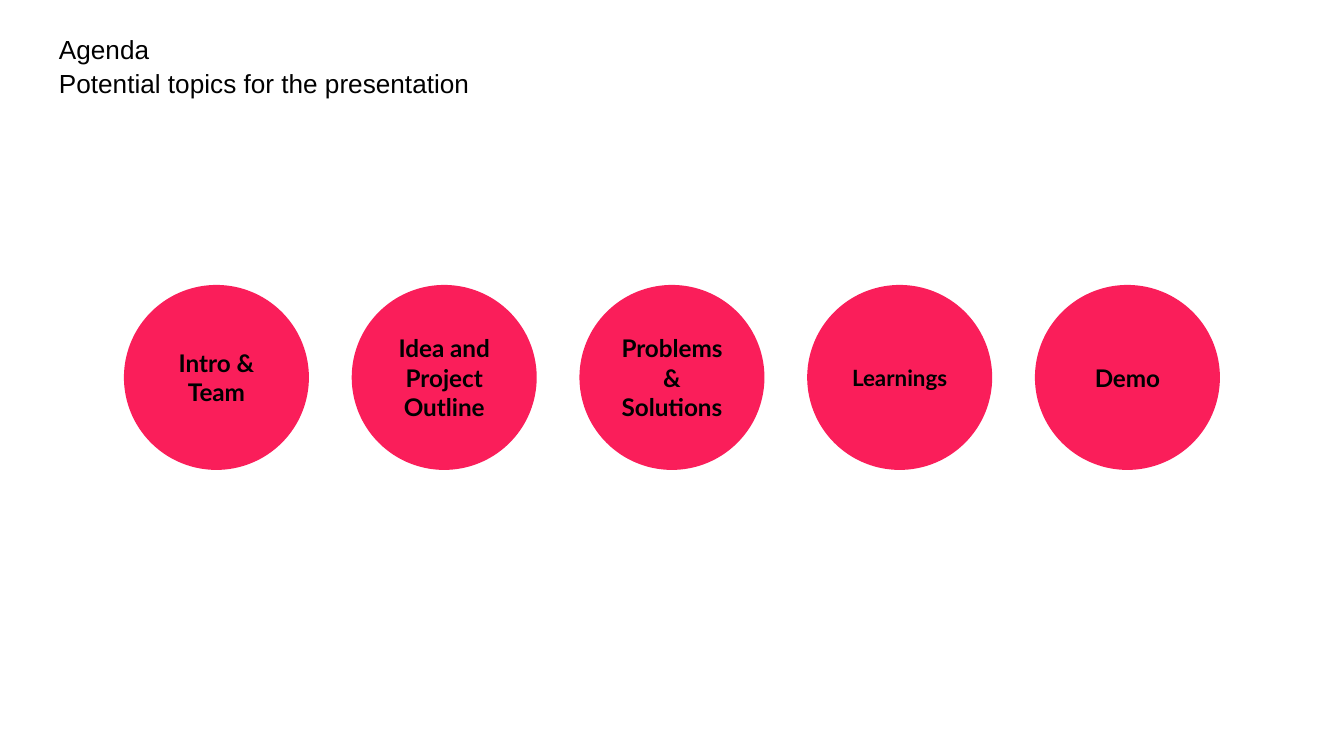
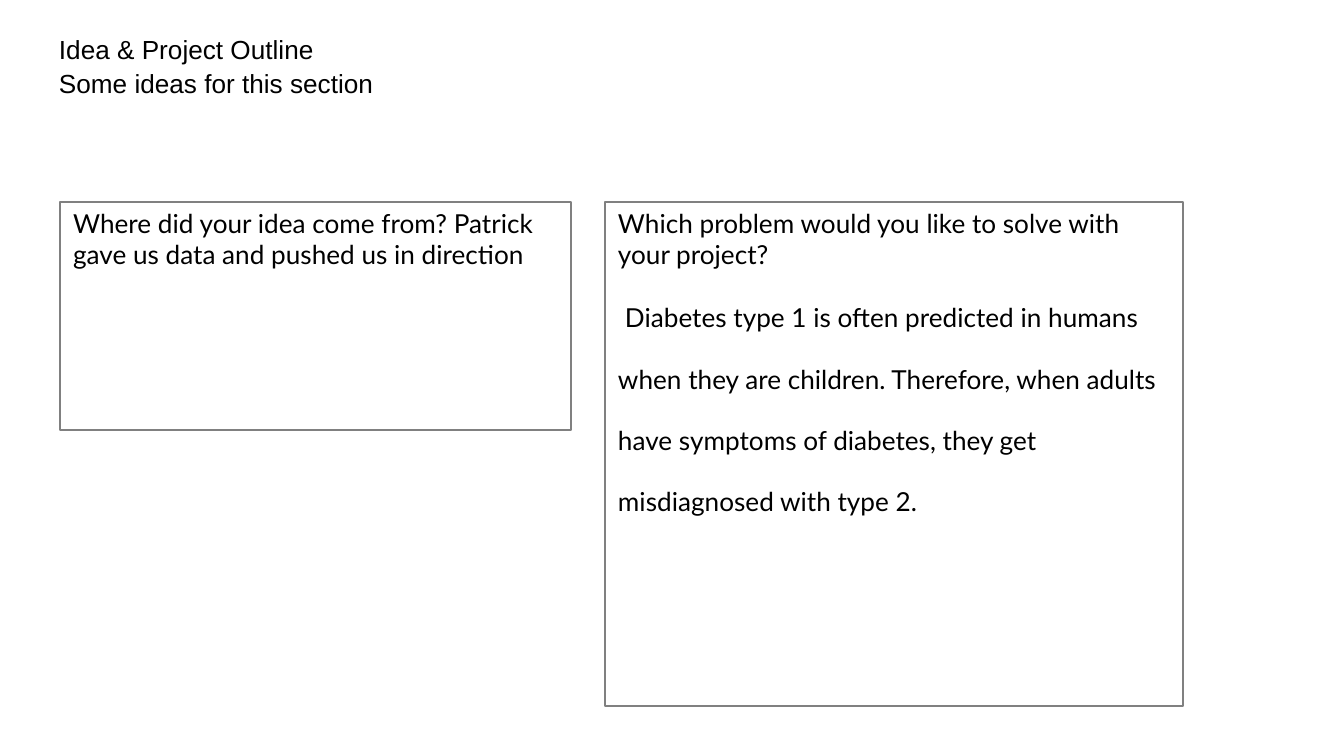
import pptx
import pptx.util
import pptx.dml.color
import pptx.enum.shapes
import pptx.enum.text

PX = 914400 / 134.4
COLOURS = {"text": "000000", "paper": "FFFFFF", "topic": "FA1E5A", "border": "808080"}
HEADING_FONT = "Arial"
BODY_FONT = "Lato"
SHAPES = pptx.enum.shapes.MSO_SHAPE
ALIGN = pptx.enum.text.PP_ALIGN
ANCHOR = pptx.enum.text.MSO_ANCHOR

TOPICS = [
    ("Intro & Team", 13),
    ("Idea and Project Outline", 13),
    ("Problems & Solutions", 13),
    ("Learnings", 12),
    ("Demo", 13),
]


def px(length):
    return pptx.util.Emu(round(length * PX))


def colour(name):
    return pptx.dml.color.RGBColor.from_string(COLOURS[name])


def write(para, text, font=BODY_FONT, size=14, bold=False, align=ALIGN.LEFT,
          spacing=1.0, before=0, after=0, indent=0):
    para.alignment = align
    para.line_spacing = spacing
    para.space_before = pptx.util.Pt(before)
    para.space_after = pptx.util.Pt(after)
    if indent:
        para._p.get_or_add_pPr().set("indent", str(px(indent)))
    span = para.add_run()
    span.text = text
    span.font.name = font
    span.font.size = pptx.util.Pt(size)
    span.font.bold = bold
    span.font.color.rgb = colour("text")


def set_frame(shape, across, down, anchor=ANCHOR.TOP):
    """Set the insets and anchor of a shape's text and return its frame."""
    frame = shape.text_frame
    frame.word_wrap = True
    frame.vertical_anchor = anchor
    frame.margin_left = frame.margin_right = px(across)
    frame.margin_top = frame.margin_bottom = px(down)
    return frame


def add_heading_line(page, text, top, width, spacing=1.0):
    box = page.shapes.add_textbox(px(46), px(top), px(width), px(54))
    frame = set_frame(box, 13, 13)
    write(frame.paragraphs[0], text, font=HEADING_FONT, spacing=spacing)


def add_page(deck, title, subtitle):
    page = deck.slides.add_slide(deck.slide_layouts[6])
    page.background.fill.solid()
    page.background.fill.fore_color.rgb = colour("paper")
    add_heading_line(page, title, top=20, width=1253)
    add_heading_line(page, subtitle, top=50, width=1077, spacing=1.15)
    return page


def add_filled_shape(page, kind, left, top, width, height, fill, line=None):
    shape = page.shapes.add_shape(kind, px(left), px(top), px(width), px(height))
    shape.shadow.inherit = False
    shape.fill.solid()
    shape.fill.fore_color.rgb = colour(fill)
    if line:
        shape.line.color.rgb = colour(line)
        shape.line.width = pptx.util.Pt(0.75)
    else:
        shape.line.fill.background()
    return shape


def add_topic_row(page, topics):
    """Spread one circle per topic evenly across the page."""
    first_left, last_left, diameter = 124, 1035, 185
    pitch = (last_left - first_left) / (len(topics) - 1)
    for index, (text, size) in enumerate(topics):
        circle = add_filled_shape(page, SHAPES.OVAL, first_left + index * pitch,
                                  285, diameter, diameter, "topic")
        frame = set_frame(circle, 10, 5, ANCHOR.MIDDLE)
        write(frame.paragraphs[0], text, size=size, bold=True, align=ALIGN.CENTER)


def add_question_box(page, left, width, height, question, answer=None):
    box = add_filled_shape(page, SHAPES.RECTANGLE, left, 202, width, height,
                           "paper", "border")
    frame = set_frame(box, 13, 7)
    write(frame.paragraphs[0], question, spacing=0.98, after=0.4)
    if answer:
        write(frame.add_paragraph(), answer, spacing=1.95, before=0.4, indent=7)


def main():
    deck = pptx.Presentation()
    deck.slide_width, deck.slide_height = px(1344), px(756)

    agenda = add_page(deck, "Agenda", "Potential topics for the presentation")
    add_topic_row(agenda, TOPICS)

    outline = add_page(deck, "Idea & Project Outline", "Some ideas for this section")
    add_question_box(
        outline, 60, 511, 228,
        "Where did your idea come from? Patrick gave us data and pushed us in direction")
    add_question_box(
        outline, 605, 578, 504,
        "Which problem would you like to solve with your project?",
        "Diabetes type 1 is often predicted in humans when they are children. "
        "Therefore, when adults have symptoms of diabetes, they get misdiagnosed "
        "with type 2.")

    deck.save("out.pptx")


if __name__ == "__main__":
    main()
